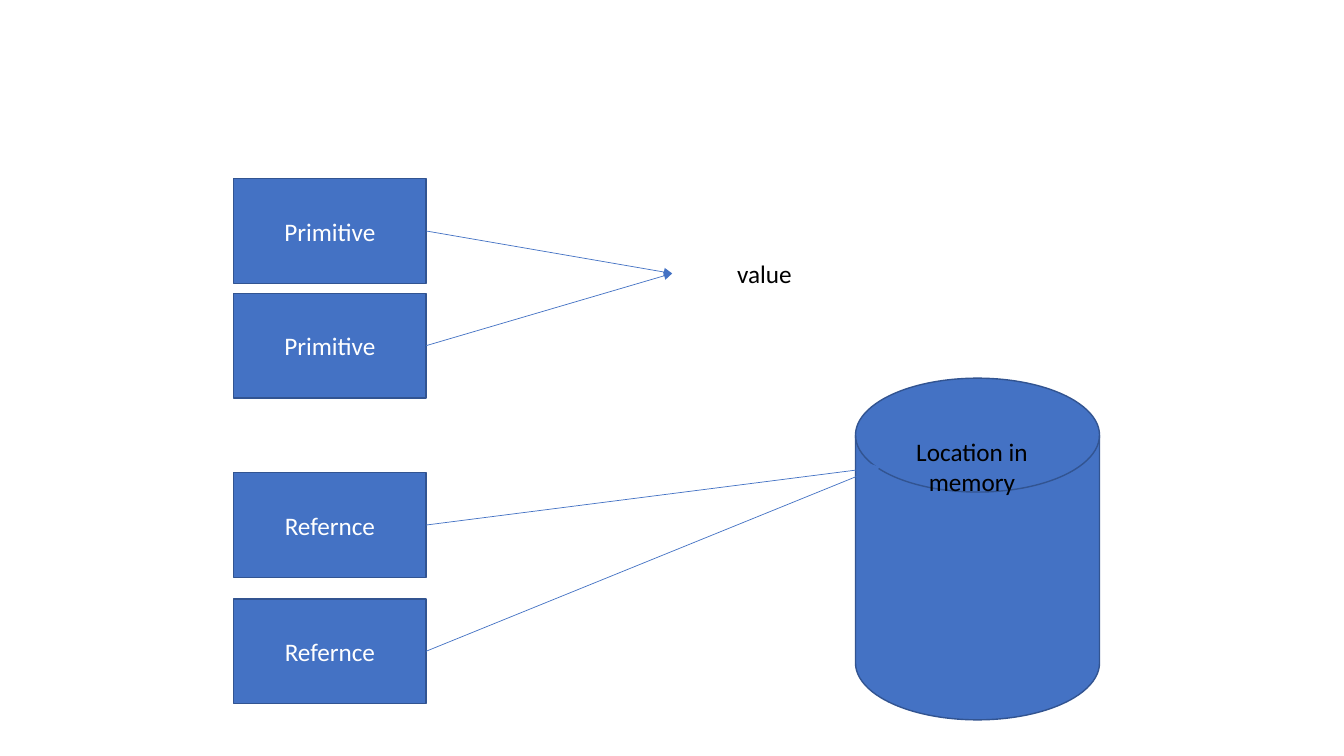
"""Build a slide showing where primitive and reference variables point."""
from dataclasses import dataclass

from lxml import etree
from pptx import Presentation
from pptx.dml.color import RGBColor
from pptx.enum.shapes import MSO_CONNECTOR, MSO_SHAPE
from pptx.enum.text import MSO_ANCHOR, PP_ALIGN
from pptx.oxml.ns import qn
from pptx.shapes.autoshape import Shape
from pptx.slide import Slide
from pptx.util import Cm, Pt

RECTANGLE = MSO_SHAPE.RECTANGLE
DISK = MSO_SHAPE.FLOWCHART_MAGNETIC_DISK
STRAIGHT = MSO_CONNECTOR.STRAIGHT
MIDDLE, TOP = MSO_ANCHOR.MIDDLE, MSO_ANCHOR.TOP
CENTER = PP_ALIGN.CENTER
LEFT_SIDE, RIGHT_SIDE = 1, 3

COLORS = {"fill": "4472C4", "border": "325491", "light": "FFFFFF", "dark": "000000"}
FONT = "Calibri"
BOX_LEFT, BOX_WIDTH, BOX_HEIGHT = 5.89, 4.85, 2.64
LABEL_WIDTH = 4.65


@dataclass(frozen=True)
class Target:
    """A label and the variable boxes that point to it."""

    text: str
    left: float
    top: float
    height: float
    variable: str
    box_tops: tuple[float, ...]


TARGETS = (
    Target("value", 16.94, 6.38, 1.02, "Primitive", (4.5, 7.39)),
    Target("Location in memory", 22.17, 10.87, 1.8, "Refernce", (11.91, 15.09)),
)


def color(name: str) -> RGBColor:
    """Return the named colour."""
    return RGBColor.from_string(COLORS[name])


def write(sp: Shape, text: str, *, ink: str, anchor: MSO_ANCHOR, size: float = 18) -> None:
    """Write centred text in a shape."""
    tf = sp.text_frame
    tf.word_wrap = True
    tf.vertical_anchor = anchor
    p = tf.paragraphs[0]
    p.alignment = CENTER
    r = p.add_run()
    r.text = text
    r.font.name = FONT
    r.font.size = Pt(size)
    r.font.color.rgb = color(ink)


def add_solid(s: Slide, kind: MSO_SHAPE, left: float, top: float,
              width: float, height: float) -> Shape:
    """Add a filled and outlined shape."""
    sp = s.shapes.add_shape(kind, Cm(left), Cm(top), Cm(width), Cm(height))
    sp.shadow.inherit = False
    sp.fill.solid()
    sp.fill.fore_color.rgb = color("fill")
    sp.line.color.rgb = color("border")
    sp.line.width = Pt(1)
    return sp


def add_arrow(s: Slide, start: Shape, end: Shape) -> None:
    """Join the right side of one shape to the left side of another."""
    arrow = s.shapes.add_connector(STRAIGHT, 0, 0, 0, 0)
    arrow.begin_connect(start, RIGHT_SIDE)
    arrow.end_connect(end, LEFT_SIDE)
    arrow.line.color.rgb = color("fill")
    arrow.line.width = Pt(0.5)
    etree.SubElement(arrow.line._get_or_add_ln(), qn("a:tailEnd"), type="triangle")
    etree.SubElement(arrow._element.spPr, qn("a:effectLst"))


def add_target(s: Slide, target: Target) -> None:
    """Add a label with its variable boxes and arrows."""
    label = s.shapes.add_textbox(Cm(target.left), Cm(target.top),
                                 Cm(LABEL_WIDTH), Cm(target.height))
    write(label, target.text, ink="dark", anchor=TOP)
    for top in target.box_tops:
        box = add_solid(s, RECTANGLE, BOX_LEFT, top, BOX_WIDTH, BOX_HEIGHT)
        write(box, target.variable, ink="light", anchor=MIDDLE)
        add_arrow(s, box, label)


def main() -> None:
    """Build and save the slide."""
    prs = Presentation()
    prs.slide_width, prs.slide_height = Cm(33.87), Cm(19.05)
    s = prs.slides.add_slide(prs.slide_layouts[6])
    add_solid(s, DISK, 21.56, 9.53, 6.15, 8.61)
    for target in TARGETS:
        add_target(s, target)
    prs.save("out.pptx")


if __name__ == "__main__":
    main()
